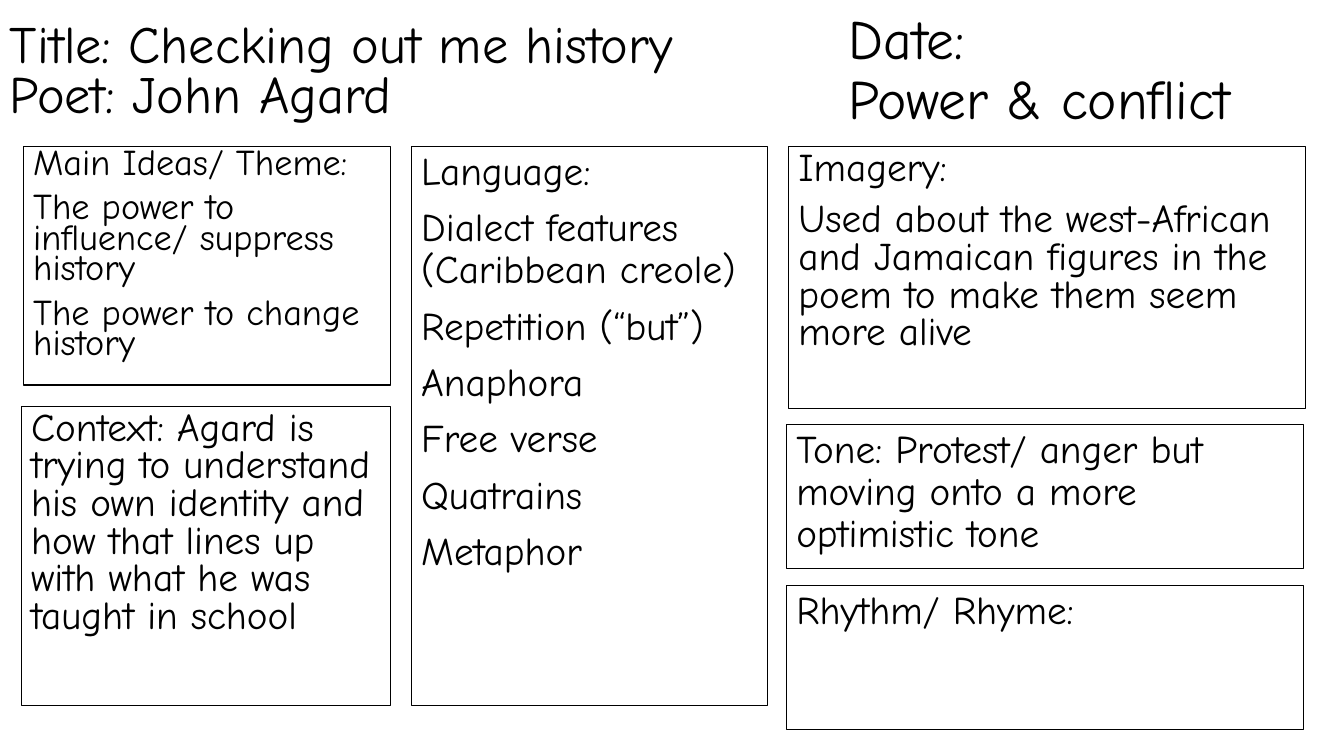
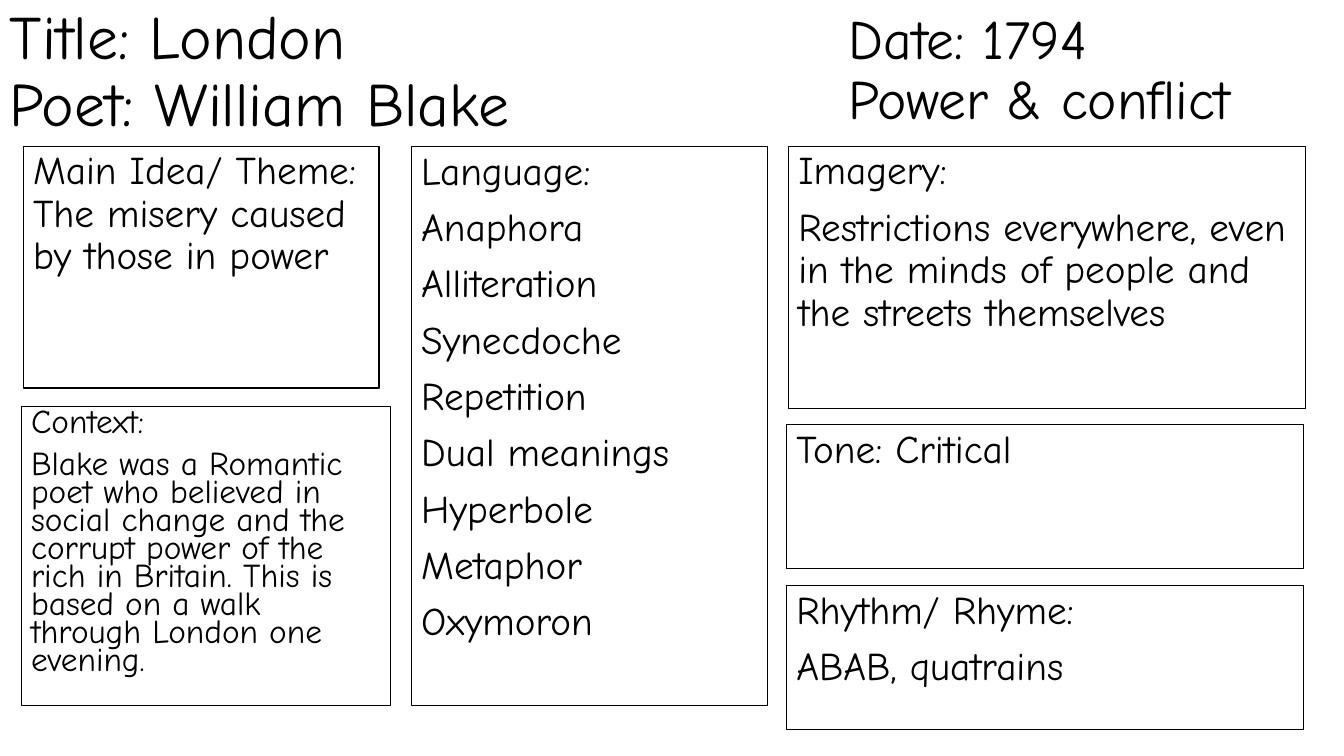
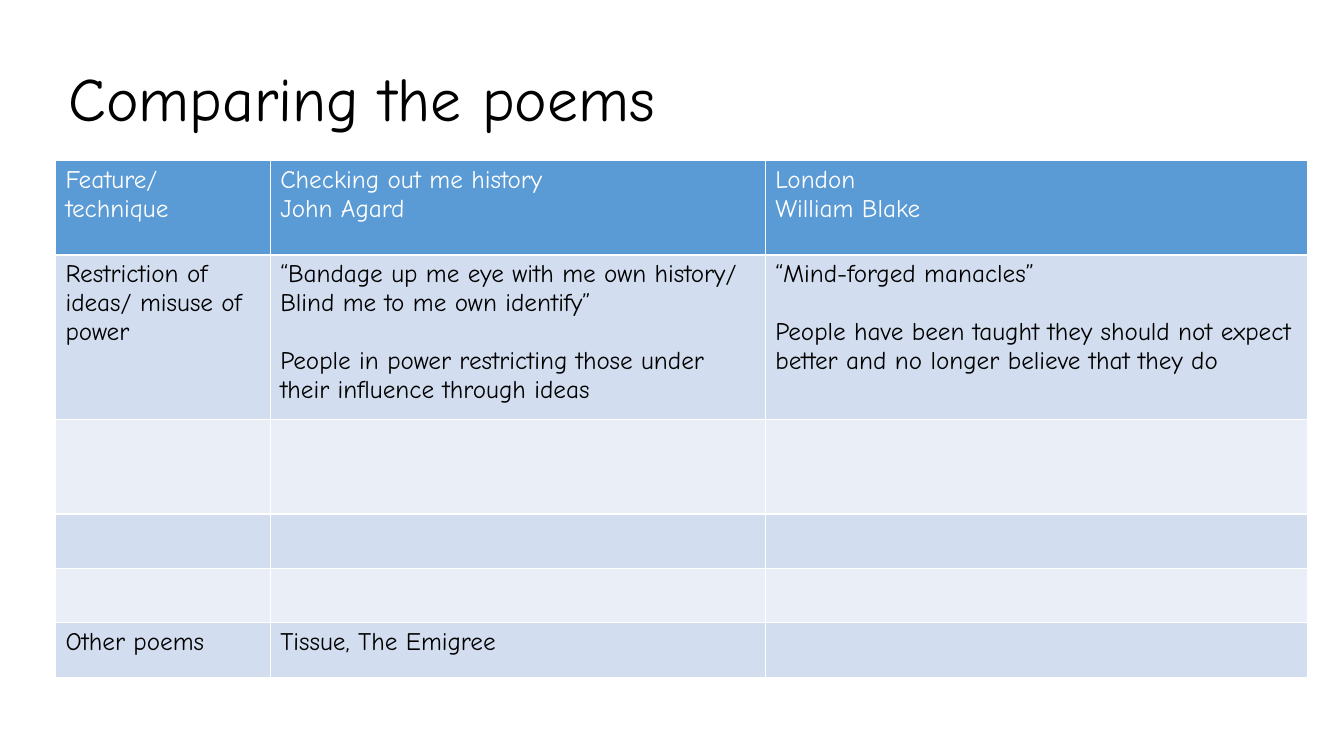
"""Build two poem summary slides and a table that compares the poems."""
from lxml.etree import SubElement
from pptx import Presentation
from pptx.dml.color import RGBColor
from pptx.enum.shapes import MSO_SHAPE
from pptx.enum.text import MSO_ANCHOR, PP_ALIGN
from pptx.oxml.ns import qn
from pptx.util import Inches, Pt

FONT = "Comic Neue"
BLACK = RGBColor(0x00, 0x00, 0x00)
WHITE = RGBColor(0xFF, 0xFF, 0xFF)
HEADER_BLUE = RGBColor(0x5B, 0x9B, 0xD5)
BANDS = [RGBColor(0xEA, 0xEF, 0xF7), RGBColor(0xD2, 0xDE, 0xEF)]

DATE_AREA = (8.32, 0.14, 5.01, 1.14)
COMPARISON_AREA = (0.58, 0.17, 12.36, 1.68)
BOX_AREAS = {
    "imagery": (7.82, 1.45, 5.13, 2.6),
    "language": (4.08, 1.45, 3.53, 5.55),
    "context": (0.21, 4.03, 3.66, 2.97),
    "tone": (7.8, 4.21, 5.13, 1.43),
    "rhythm": (7.8, 5.81, 5.13, 1.43),
}

POEMS = [
    {
        "heading": ("Title: Checking out me history\nPoet: John Agard", 8.07, 37.4, 0.8),
        "date": "Date:\nPower & conflict",
        "theme_size": (3.64, 2.37),
        "boxes": {
            "theme": (25.9, 0.7, [
                "Main Ideas/ Theme:",
                "The power to influence/ suppress history",
                "The power to change history",
            ]),
            "imagery": (28, 0.8, [
                "Imagery:",
                "Used about the west-African and Jamaican figures in the poem "
                "to make them seem more alive",
            ]),
            "language": (28, 0.9, [
                "Language:",
                "Dialect features (Caribbean creole)",
                "Repetition (“but”)",
                "Anaphora",
                "Free verse",
                "Quatrains",
                "Metaphor",
            ]),
            "context": (28, 0.8, [
                "Context: Agard is trying to understand his own identity and "
                "how that lines up with what he was taught in school",
            ]),
            "tone": (28, 0.9, [
                "Tone: Protest/ anger but moving onto a more optimistic tone",
            ]),
            "rhythm": (28, 0.9, ["Rhythm/ Rhyme:"]),
        },
    },
    {
        "heading": ("Title: London\nPoet: William Blake", 7.24, 44, 0.9),
        "date": "Date: 1794\nPower & conflict",
        "theme_size": (3.53, 2.4),
        "boxes": {
            "theme": (28, 0.9, [
                "Main Idea/ Theme: The misery caused by those in power",
            ]),
            "imagery": (28, 0.9, [
                "Imagery:",
                "Restrictions everywhere, even in the minds of people and "
                "the streets themselves",
            ]),
            "language": (28, 0.9, [
                "Language:",
                "Anaphora",
                "Alliteration",
                "Synecdoche",
                "Repetition",
                "Dual meanings",
                "Hyperbole",
                "Metaphor",
                "Oxymoron",
            ]),
            "context": (23.8, 0.7, [
                "Context:",
                "Blake was a Romantic poet who believed in social change and the "
                "corrupt power of the rich in Britain. This is based on a walk "
                "through London one evening.",
            ]),
            "tone": (28, 0.9, ["Tone: Critical"]),
            "rhythm": (28, 0.9, ["Rhythm/ Rhyme:", "ABAB, quatrains"]),
        },
    },
]

COLUMN_WIDTHS = [2.13, 4.91, 5.38]
ROW_HEIGHTS = [0.94, 1.63, 0.94, 0.54, 0.54, 0.54]
COMPARISON = [
    [
        ["Feature/ technique"],
        ["Checking out me history", "John Agard"],
        ["London", "William Blake"],
    ],
    [
        ["Restriction of ideas/ misuse of power"],
        [
            "“Bandage up me eye with me own history/ Blind me to me own identify”",
            "People in power restricting those under their influence through ideas",
        ],
        [
            "“Mind-forged manacles”",
            "People have been taught they should not expect better and "
            "no longer believe that they do",
        ],
    ],
    [[""], [""], [""]],
    [[""], [""], [""]],
    [[""], [""], [""]],
    [["Other poems"], ["Tissue, The Emigree"], [""]],
]


def write_lines(frame, lines, size, line_spacing, gap=0, color=BLACK):
    frame.word_wrap = True
    for index, line in enumerate(lines):
        paragraph = frame.add_paragraph() if index else frame.paragraphs[0]
        paragraph.text = line
        layout = {
            "alignment": PP_ALIGN.LEFT,
            "line_spacing": line_spacing,
            "space_before": Pt(gap if index else 0),
        }
        for name, value in layout.items():
            setattr(paragraph, name, value)
        for name, value in {"name": FONT, "size": Pt(size), "bold": False}.items():
            setattr(paragraph.font, name, value)
        paragraph.font.color.rgb = color


def add_heading(slide, area, text, size, line_spacing=0.9):
    frame = slide.shapes.add_textbox(*map(Inches, area)).text_frame
    frame.vertical_anchor = MSO_ANCHOR.MIDDLE
    write_lines(frame, [text], size, line_spacing)


presentation = Presentation()
presentation.slide_width = Inches(13.33)
presentation.slide_height = Inches(7.5)
blank_layout = presentation.slide_layouts[6]

for poem in POEMS:
    slide = presentation.slides.add_slide(blank_layout)
    areas = {"theme": (0.23, 1.45, *poem["theme_size"]), **BOX_AREAS}
    for box_name, (size, line_spacing, lines) in poem["boxes"].items():
        box = slide.shapes.add_shape(MSO_SHAPE.RECTANGLE, *map(Inches, areas[box_name]))
        box.shadow.inherit = False
        box.fill.background()
        box.line.color.rgb = BLACK
        box.line.width = Pt(0.75)
        box.text_frame.vertical_anchor = MSO_ANCHOR.TOP
        write_lines(box.text_frame, lines, size, line_spacing, gap=10)
    heading, width, size, line_spacing = poem["heading"]
    add_heading(slide, (0, 0, width, 1.45), heading, size, line_spacing)
    add_heading(slide, DATE_AREA, poem["date"], 39.6)

slide = presentation.slides.add_slide(blank_layout)
add_heading(slide, COMPARISON_AREA, "Comparing the poems", 44)
table = slide.shapes.add_table(
    len(ROW_HEIGHTS), len(COLUMN_WIDTHS), Inches(0.55), Inches(1.59),
    Inches(sum(COLUMN_WIDTHS)), Inches(sum(ROW_HEIGHTS)),
).table
for column, width in zip(table.columns, COLUMN_WIDTHS):
    column.width = Inches(width)
for row_index, (row, height) in enumerate(zip(table.rows, ROW_HEIGHTS)):
    row.height = Inches(height)
    is_header = row_index == 0
    for cell, lines in zip(row.cells, COMPARISON[row_index]):
        properties = cell._tc.get_or_add_tcPr()
        for side in ("a:lnL", "a:lnR", "a:lnT", "a:lnB"):
            border = SubElement(properties, qn(side), w=str(Pt(1)))
            border_fill = SubElement(border, qn("a:solidFill"))
            SubElement(border_fill, qn("a:srgbClr"), val=str(WHITE))
        cell.fill.solid()
        cell.fill.fore_color.rgb = HEADER_BLUE if is_header else BANDS[row_index % 2]
        write_lines(
            cell.text_frame, lines, 18, 1.0,
            gap=0 if is_header else 20.7, color=WHITE if is_header else BLACK,
        )

presentation.save("out.pptx")
